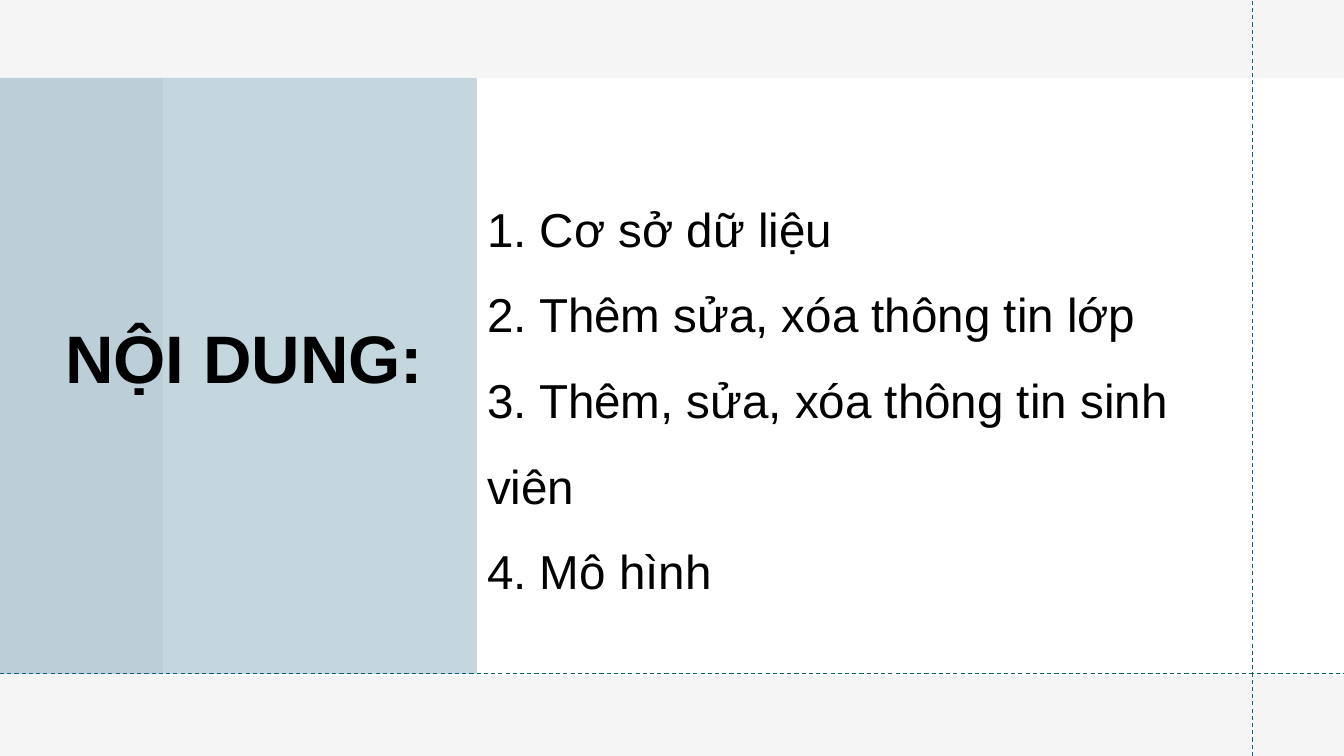
from dataclasses import dataclass

from lxml import etree
from pptx import Presentation
from pptx.dml.color import RGBColor
from pptx.enum.dml import MSO_LINE
from pptx.enum.shapes import MSO_CONNECTOR, MSO_SHAPE
from pptx.enum.text import MSO_ANCHOR, MSO_AUTO_SIZE, PP_ALIGN
from pptx.oxml.ns import qn
from pptx.util import Emu, Pt

RECT = MSO_SHAPE.RECTANGLE
STRAIGHT = MSO_CONNECTOR.STRAIGHT
DASH = MSO_LINE.DASH
MIDDLE, TOP = MSO_ANCHOR.MIDDLE, MSO_ANCHOR.TOP
LEFT = PP_ALIGN.LEFT
NO_FIT = MSO_AUTO_SIZE.NONE

PX_PER_INCH = 100.8
WIDTH, HEIGHT = 1344, 756


@dataclass(frozen=True)
class Theme:
    paper: RGBColor = RGBColor(0xF5, 0xF5, 0xF5)
    white: RGBColor = RGBColor(0xFF, 0xFF, 0xFF)
    accent: RGBColor = RGBColor(0x15, 0x60, 0x82)
    text: RGBColor = RGBColor(0x00, 0x00, 0x00)
    font: str = "Arial"
    title_size: int = 48
    list_size: int = 34
    rule_width: float = 0.75
    panel_opacity: int = 25


THEME = Theme()
TOPICS = [
    "1. Cơ sở dữ liệu",
    "2. Thêm sửa, xóa thông tin lớp",
    "3. Thêm, sửa, xóa thông tin sinh viên",
    "4. Mô hình",
]


def px(*lengths):
    return [Emu(round(n * 914400 / PX_PER_INCH)) for n in lengths]


def add_block(slide, box, color, opacity=100):
    """Plain rectangle without outline."""
    sp = slide.shapes.add_shape(RECT, *px(*box))
    sp.shadow.inherit = False
    sp.fill.solid()
    sp.fill.fore_color.rgb = color
    sp.line.fill.background()
    if opacity < 100:
        clr = sp.element.spPr.find(qn("a:solidFill"))[0]
        etree.SubElement(clr, qn("a:alpha"), val=str(opacity * 1000))


def add_rule(slide, start, end):
    """Thin dashed guide line."""
    line = slide.shapes.add_connector(STRAIGHT, *px(*start, *end))
    line.line.color.rgb = THEME.accent
    line.line.width = Pt(THEME.rule_width)
    line.line.dash_style = DASH
    etree.SubElement(line.element.spPr, qn("a:effectLst"))


def fill_placeholder(sp, box, lines, size, spacing, anchor, bold=False):
    """Move a placeholder into the box, in front, and set its text."""
    sp.left, sp.top, sp.width, sp.height = px(*box)
    sp.element.getparent().append(sp.element)
    tf = sp.text_frame
    tf.text = "\n".join(lines)
    tf.word_wrap = True
    tf.auto_size = NO_FIT
    tf.vertical_anchor = anchor
    for p in tf.paragraphs:
        p.alignment = LEFT
        p.line_spacing = spacing
        p.space_before = Pt(0)
        p.font.name = THEME.font
        p.font.size = Pt(size)
        p.font.bold = bold
        p.font.color.rgb = THEME.text
        pPr = p._p.get_or_add_pPr()
        pPr.set("marL", "0")
        pPr.set("indent", "0")
        bullet = etree.Element(qn("a:buNone"))
        pPr.find(qn("a:defRPr")).addprevious(bullet)


def draw_backdrop(slide, box):
    """White band and dashed guides on the grey page."""
    x, y, w, h = box
    add_block(slide, (x + 163, y + 78, w - 163, h - 158), THEME.white)
    add_rule(slide, (x + w - 91, y + h), (x + w - 91, y))
    add_rule(slide, (x, y + h - 82), (x + w, y + h - 82))


def draw_title_panel(slide, box):
    """Tinted panel with the heading."""
    x, y, w, h = box
    add_block(slide, box, THEME.accent, THEME.panel_opacity)
    fill_placeholder(slide.shapes.title, (x + 55, y - 3, w - 79, h - 23),
                     ["NỘI DUNG:"], THEME.title_size, 0.9, MIDDLE, bold=True)


def draw_topics(slide, box):
    """List of topics beside the panel."""
    fill_placeholder(slide.placeholders[1], box, TOPICS,
                     THEME.list_size, 1.5, TOP)


def main():
    prs = Presentation()
    prs.slide_width, prs.slide_height = px(WIDTH, HEIGHT)
    slide = prs.slides.add_slide(prs.slide_layouts[1])
    slide.background.fill.solid()
    slide.background.fill.fore_color.rgb = THEME.paper

    draw_backdrop(slide, (0, 0, WIDTH, HEIGHT))
    draw_title_panel(slide, (0, 78, 477, 596))
    draw_topics(slide, (477, 166, 776, 443))
    prs.save("out.pptx")


if __name__ == "__main__":
    main()
